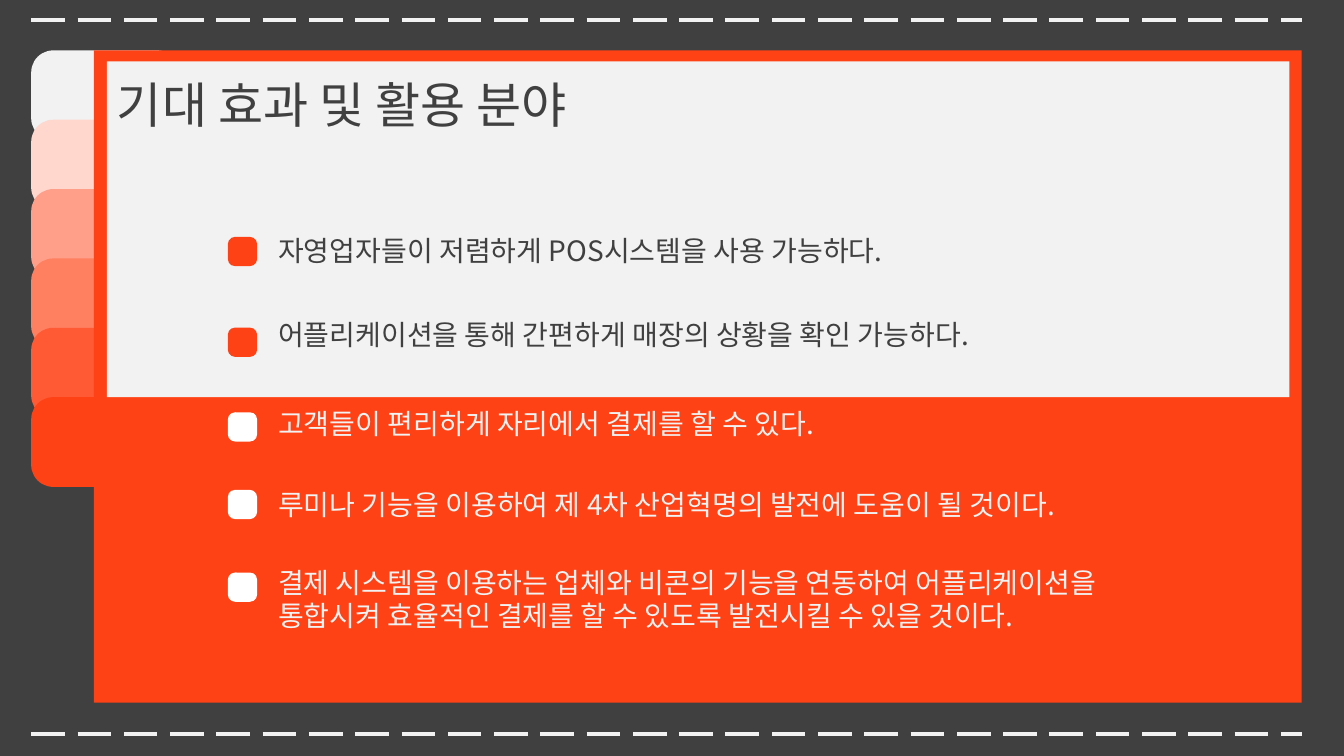
from dataclasses import dataclass

from lxml.etree import SubElement
from pptx import Presentation
from pptx.dml.color import RGBColor as Rgb
from pptx.enum.dml import MSO_LINE as Dash
from pptx.enum.shapes import MSO_CONNECTOR as Link, MSO_SHAPE as Kind
from pptx.enum.text import MSO_ANCHOR as Anchor, MSO_AUTO_SIZE as Fit, PP_ALIGN as Align
from pptx.oxml.ns import qn
from pptx.shapes.autoshape import Shape
from pptx.slide import Slide
from pptx.util import Inches, Pt

FONT = "Noto Sans CJK KR"
HUES = {
    "dark": "404040",
    "light": "F2F2F2",
    "white": "FFFFFF",
    "red": "FF4215",
}
TABS = [HUES["light"], "FFD7CD", "FF9F89", "FF7F61", "FF5A33", HUES["red"]]
TAB_STEP = 0.688
ROUND = 0.245


@dataclass
class Point:
    text: str
    top: float
    mark_top: float
    ink: str
    mark: str
    high: float = 0.44


POINTS = [
    Point("자영업자들이 저렴하게 POS시스템을 사용 가능하다.", 2.27, 2.35, "dark", "red"),
    Point("어플리케이션을 통해 간편하게 매장의 상황을 확인 가능하다.", 3.1, 3.25, "dark", "red"),
    Point("고객들이 편리하게 자리에서 결제를 할 수 있다.", 3.98, 4.09, "light", "white"),
    Point("루미나 기능을 이용하여 제 4차 산업혁명의 발전에 도움이 될 것이다.",
          4.79, 4.86, "light", "white"),
    Point("결제 시스템을 이용하는 업체와 비콘의 기능을 연동하여 어플리케이션을\n"
          "통합시켜 효율적인 결제를 할 수 있도록 발전시킬 수 있을 것이다.",
          5.56, 5.68, "light", "white", 0.77),
]


def block(slide: Slide, kind: Kind, left: float, top: float,
          wide: float, high: float, hue: str) -> Shape:
    shape = slide.shapes.add_shape(
        kind, Inches(left), Inches(top), Inches(wide), Inches(high))
    shape.shadow.inherit = False
    shape.fill.solid()
    shape.fill.fore_color.rgb = Rgb.from_string(hue)
    shape.line.fill.background()
    if kind == Kind.ROUNDED_RECTANGLE:
        shape.adjustments[0] = ROUND
    return shape


def rule(slide: Slide, top: float) -> None:
    line = slide.shapes.add_connector(
        Link.STRAIGHT, Inches(0.31), Inches(top), Inches(12.91), Inches(top))
    line.line.color.rgb = Rgb.from_string(HUES["light"])
    line.line.width = Pt(3)
    line.line.dash_style = Dash.LONG_DASH
    SubElement(line._element.spPr, qn("a:effectLst"))


def write(shape: Shape, text: str, *, size: float, hue: str) -> None:
    """Fill a text shape, one paragraph per line, in Latin and Korean fonts."""
    frame = shape.text_frame
    frame.text = text
    frame.word_wrap = True
    frame.auto_size = Fit.NONE
    frame.vertical_anchor = Anchor.TOP
    frame.margin_left = frame.margin_right = Inches(0.1)
    frame.margin_top = frame.margin_bottom = Inches(0.05)
    for para in frame.paragraphs:
        para.alignment = Align.LEFT
        for run in para.runs:
            run.font.size = Pt(size)
            run.font.name = FONT
            run.font.color.rgb = Rgb.from_string(hue)
            SubElement(run.font._element, qn("a:ea"), typeface=FONT)


def head(slide: Slide, text: str) -> None:
    title = slide.shapes.title
    title.left, title.top = Inches(1.06), Inches(0.69)
    title.width, title.height = Inches(5.27), Inches(0.69)
    write(title, text, size=35, hue=HUES["dark"])
    # Appending again lifts the title above the panels
    slide.shapes._spTree.append(title._element)


def item(slide: Slide, point: Point) -> None:
    block(slide, Kind.ROUNDED_RECTANGLE, 2.26, point.mark_top, 0.29, 0.29,
          HUES[point.mark])
    box = slide.shapes.add_textbox(
        Inches(2.66), Inches(point.top), Inches(9.61), Inches(point.high))
    write(box, point.text, size=20, hue=HUES[point.ink])


def main() -> None:
    deck = Presentation()
    deck.slide_width, deck.slide_height = Inches(13.33), Inches(7.5)
    slide = deck.slides.add_slide(deck.slide_layouts[5])
    slide.background.fill.solid()
    slide.background.fill.fore_color.rgb = Rgb.from_string(HUES["dark"])

    for i, hue in enumerate(TABS):
        block(slide, Kind.ROUNDED_RECTANGLE, 0.31, 0.5 + i * TAB_STEP, 1.47, 0.89, hue)
    for top in (0.2, 7.28):
        rule(slide, top)
    block(slide, Kind.RECTANGLE, 0.93, 0.5, 11.98, 6.47, HUES["red"])
    block(slide, Kind.RECTANGLE, 1.06, 0.61, 11.73, 3.33, HUES["light"])

    head(slide, "기대 효과 및 활용 분야")
    for point in POINTS:
        item(slide, point)
    deck.save("out.pptx")


if __name__ == "__main__":
    main()
